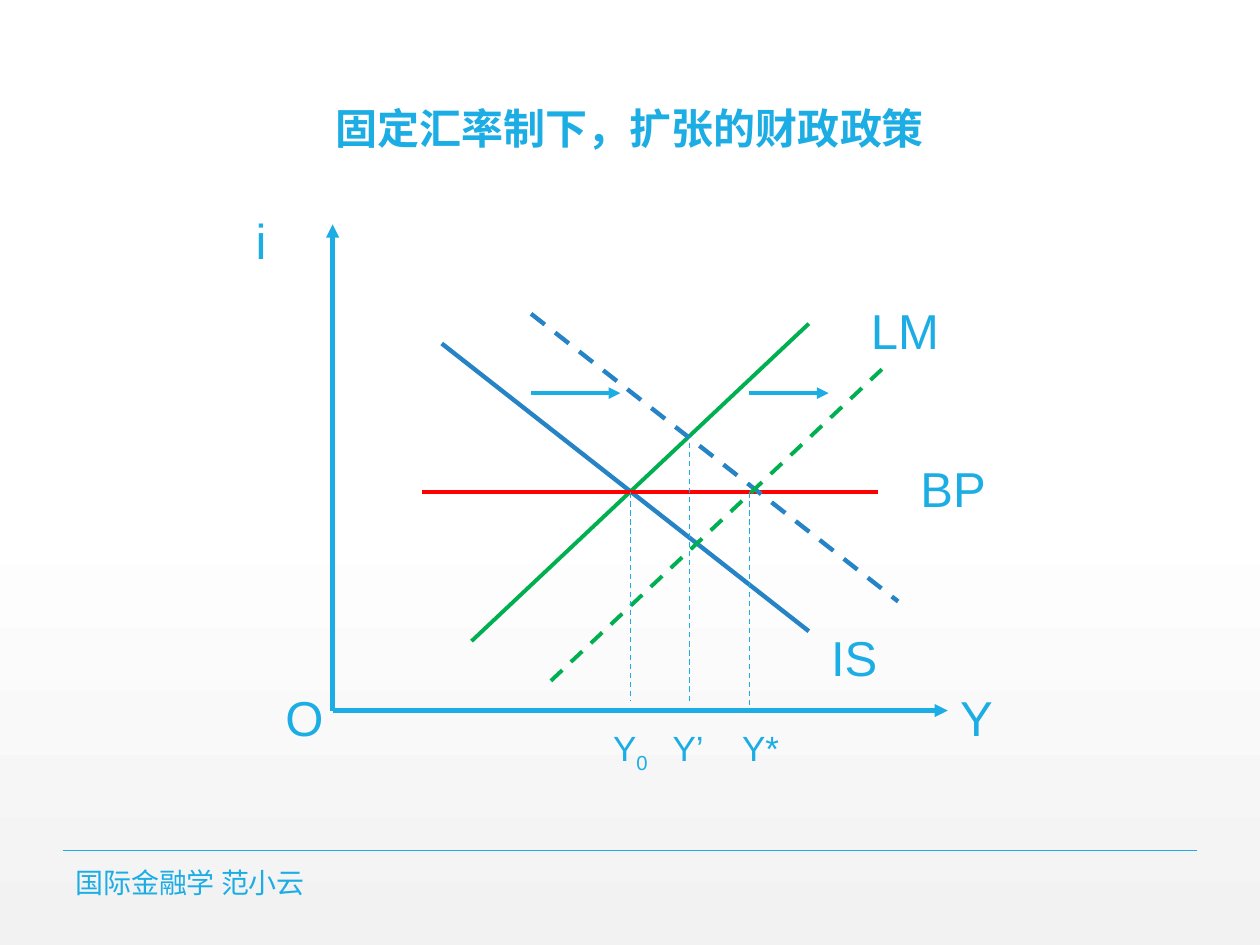
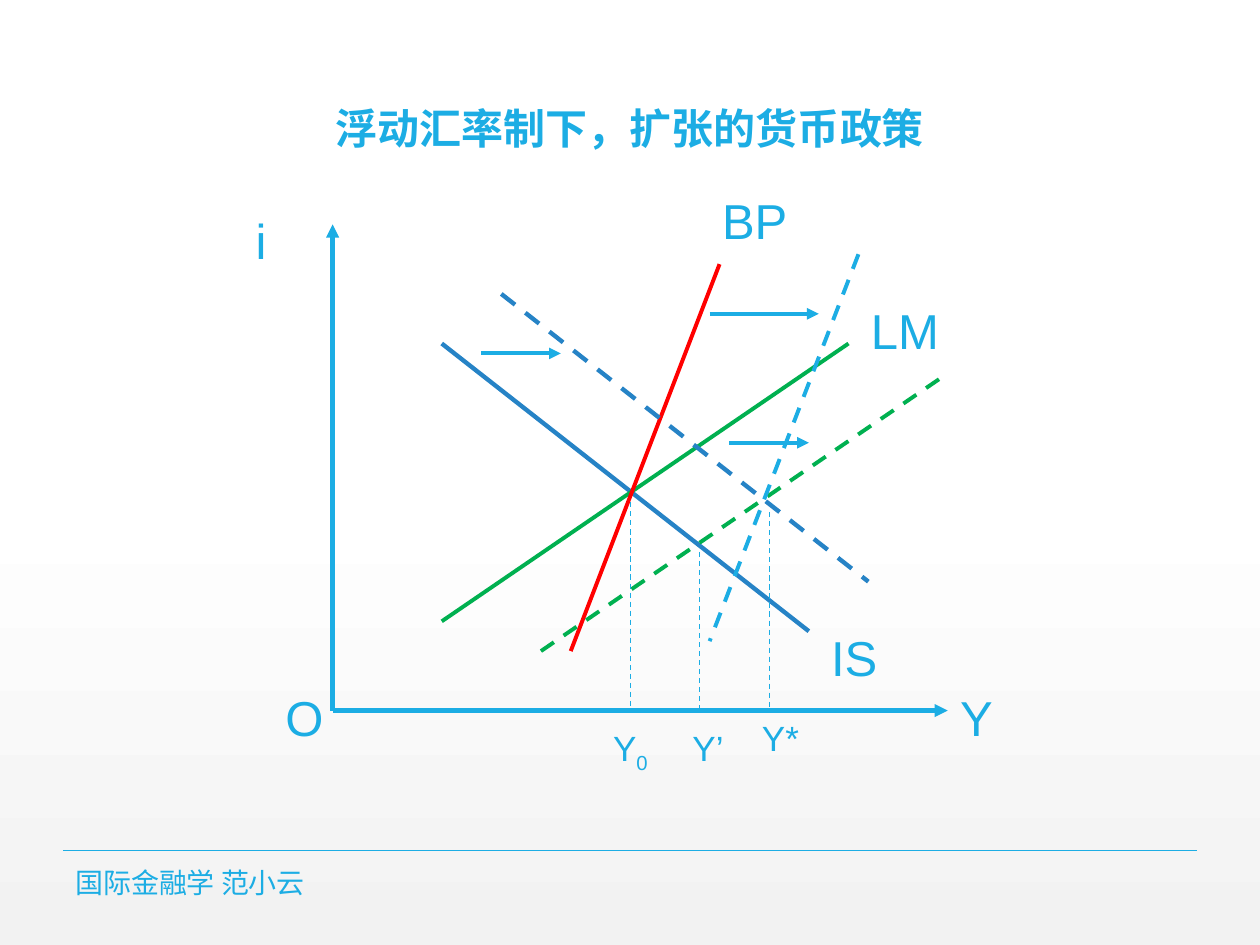
"""Builds two IS-LM-BP diagram slides on policy under fixed and floating exchange rates."""
from copy import deepcopy
from dataclasses import dataclass

from lxml import etree
from pptx import Presentation
from pptx.dml.color import RGBColor
from pptx.enum.dml import MSO_LINE
from pptx.enum.shapes import MSO_CONNECTOR
from pptx.enum.text import MSO_ANCHOR, MSO_AUTO_SIZE, PP_ALIGN
from pptx.oxml.ns import qn
from pptx.util import Cm, Inches, Pt

STRAIGHT = MSO_CONNECTOR.STRAIGHT
DASH = MSO_LINE.DASH
TOP, MIDDLE, BOTTOM = MSO_ANCHOR.TOP, MSO_ANCHOR.MIDDLE, MSO_ANCHOR.BOTTOM
CENTER = PP_ALIGN.CENTER
FIT_SHAPE = MSO_AUTO_SIZE.SHAPE_TO_FIT_TEXT


@dataclass(frozen=True)
class Theme:
    accent: str = "1CADE4"
    blue: str = "2683C6"
    green: str = "00B050"
    red: str = "FF0000"
    backdrop: tuple = ((0, "FFFFFF"), (0.53, "FFFFFF"), (1, "F2F2F2"))
    font: str = "Arial"
    footer_font: str = "Noto Sans CJK SC"
    title_size: int = 24
    label_size: int = 28
    tick_size: int = 20
    footer_size: int = 16
    axis_width: float = 2.5
    line_width: float = 2.25
    drop_width: float = 0.75
    rule_width: float = 1


THEME = Theme()
FOOTER = "国际金融学 范小云"

CELL = Cm(0.2)
ORIGIN = (Inches(2.64), Inches(5.64))
AXES = [((0, 0), (0, 49)), ((0, 0), (62, 0))]
LABEL_HEIGHT, TICK_HEIGHT = 0.57, 0.43

CURVE_STYLES = {
    "IS": (THEME.blue, THEME.axis_width),
    "LM": (THEME.green, THEME.line_width),
    "BP": (THEME.red, THEME.line_width),
}
SHIFTED_COLORS = {"IS": THEME.blue, "LM": THEME.green, "BP": THEME.accent}

# Diagram lengths are cells from the origin, upward positive.
COMMON_LABELS = {"i": (-9, 51, 7), "Y": (62, 3, 7), "LM": (53, 42, 10),
                 "IS": (49, 9, 9), "O": (-6, 3, 7)}

DIAGRAMS = [
    {
        "title": "固定汇率制下，扩张的财政政策",
        "curves": {"IS": ((11, 37), (48, 8)), "LM": ((14, 7), (48, 39)),
                   "BP": ((9, 22), (55, 22))},
        "bp_label": (58, 26, 10),
        "shifts": [("IS", (9, 3), ((20, 32), (29, 32))),
                   ("LM", (8, -4), ((42, 32), (50, 32)))],
        "drops": [(30, 22, 1), (42, 22, 0), (36, 27, 1)],
        "ticks": [("Y", "0", (19, -1, 16), 8), ("Y’", "", (29, -1, 10), 4),
                  ("Y*", "", (36, -1, 11), 4)],
    },
    {
        "title": "浮动汇率制下，扩张的货币政策",
        "curves": {"IS": ((11, 37), (48, 8)), "LM": ((11, 9), (52, 37)),
                   "BP": ((39, 45), (24, 6))},
        "bp_label": (38, 53, 10),
        "shifts": [("LM", (10, -3), ((40, 27), (48, 27))),
                   ("IS", (6, 5), ((15, 36), (23, 36))),
                   ("BP", (14, 1), ((38, 40), (49, 40)))],
        "drops": [(30, 21, 0), (44, 20, 0), (37, 16, 0)],
        "ticks": [("Y", "0", (19, -1, 16), 8), ("Y’", "", (31, -1, 10), 4),
                  ("Y*", "", (38, 0, 11), 4)],
    },
]


def place(point):
    column, row = point
    return ORIGIN[0] + column * CELL, ORIGIN[1] - row * CELL


def add_line(shapes, start, end, color, width, dashed=False, arrow=False):
    connector = shapes.add_connector(STRAIGHT, *start, *end)
    connector.line.color.rgb = RGBColor.from_string(color)
    connector.line.width = Pt(width)
    if dashed:
        connector.line.dash_style = DASH
    properties = connector._element.spPr
    if arrow:
        etree.SubElement(properties.find(qn("a:ln")), qn("a:tailEnd"), type="triangle")
    etree.SubElement(properties, qn("a:effectLst"))


def add_segment(shapes, points, color, width, **style):
    add_line(shapes, place(points[0]), place(points[1]), color, width, **style)


def add_text(shapes, box, text, size, font=THEME.font, anchor=TOP):
    shape = shapes.add_textbox(*box)
    frame = shape.text_frame
    frame.word_wrap = True
    frame.vertical_anchor = anchor
    paragraph = frame.paragraphs[0]
    paragraph.add_run().text = text
    paragraph.font.name = font
    paragraph.font.size = Pt(size)
    paragraph.font.color.rgb = RGBColor.from_string(THEME.accent)
    return frame


def add_label(shapes, text, spot, height, size):
    column, row, columns = spot
    box = (*place((column, row)), columns * CELL, Inches(height))
    frame = add_text(shapes, box, text, size)
    frame.auto_size = FIT_SHAPE
    return frame


def add_tick(shapes, text, subscript, spot, indent):
    frame = add_label(shapes, text, spot, TICK_HEIGHT, THEME.tick_size)
    frame.margin_left += indent * CELL
    if subscript:
        run = frame.paragraphs[0].add_run()
        run.text = subscript
        run._r.get_or_add_rPr().set("baseline", "-25000")


def paint_background(master):
    fill = master.background.fill
    fill.gradient()
    fill.gradient_angle = 270
    stop_list = master._element.find(".//" + qn("a:gsLst"))
    stop_list.append(deepcopy(stop_list[-1]))
    for stop, (position, color) in zip(fill.gradient_stops, THEME.backdrop):
        stop.position = position
        stop.color.rgb = RGBColor.from_string(color)


def add_frame(slide, title, width, height):
    rule_top, margin = height * 0.9, width * 0.05
    add_line(slide.shapes, (int(margin), int(rule_top)),
             (int(width - margin), int(rule_top)), THEME.accent, THEME.rule_width)
    title_box = Inches(1.06), Inches(0.02), Inches(7.88), Inches(1.25)
    paragraph = add_text(slide.shapes, title_box, title, THEME.title_size,
                         anchor=BOTTOM).paragraphs[0]
    paragraph.alignment = CENTER
    paragraph.line_spacing = 0.9
    paragraph.font.bold = True
    footer_box = Inches(0.5), Inches(6.88), Inches(5.03), Inches(0.24)
    add_text(slide.shapes, footer_box, FOOTER, THEME.footer_size,
             THEME.footer_font, MIDDLE)


def add_diagram(slide, diagram):
    for axis in AXES:
        add_segment(slide.shapes, axis, THEME.accent, THEME.axis_width, arrow=True)
    for name, points in diagram["curves"].items():
        add_segment(slide.shapes, points, *CURVE_STYLES[name])
    labels = {**COMMON_LABELS, "BP": diagram["bp_label"]}
    for text, spot in labels.items():
        add_label(slide.shapes, text, spot, LABEL_HEIGHT, THEME.label_size)
    for name, (right, up), arrow in diagram["shifts"]:
        shapes = slide.shapes.add_group_shape().shapes
        moved = [(x + right, y + up) for x, y in diagram["curves"][name]]
        add_segment(shapes, moved, SHIFTED_COLORS[name], CURVE_STYLES[name][1], dashed=True)
        add_segment(shapes, arrow, THEME.accent, THEME.line_width, arrow=True)
    shapes = slide.shapes.add_group_shape().shapes
    for column, top, bottom in diagram["drops"]:
        add_segment(shapes, ((column, top), (column, bottom)), THEME.accent,
                    THEME.drop_width, dashed=True)
    for tick in diagram["ticks"]:
        add_tick(shapes, *tick)


def main():
    presentation = Presentation()
    presentation.slide_width, presentation.slide_height = Inches(10), Inches(7.5)
    paint_background(presentation.slide_master)
    for diagram in DIAGRAMS:
        slide = presentation.slides.add_slide(presentation.slide_layouts[6])
        add_frame(slide, diagram["title"], presentation.slide_width, presentation.slide_height)
        add_diagram(slide, diagram)
    presentation.save("out.pptx")


if __name__ == "__main__":
    main()
